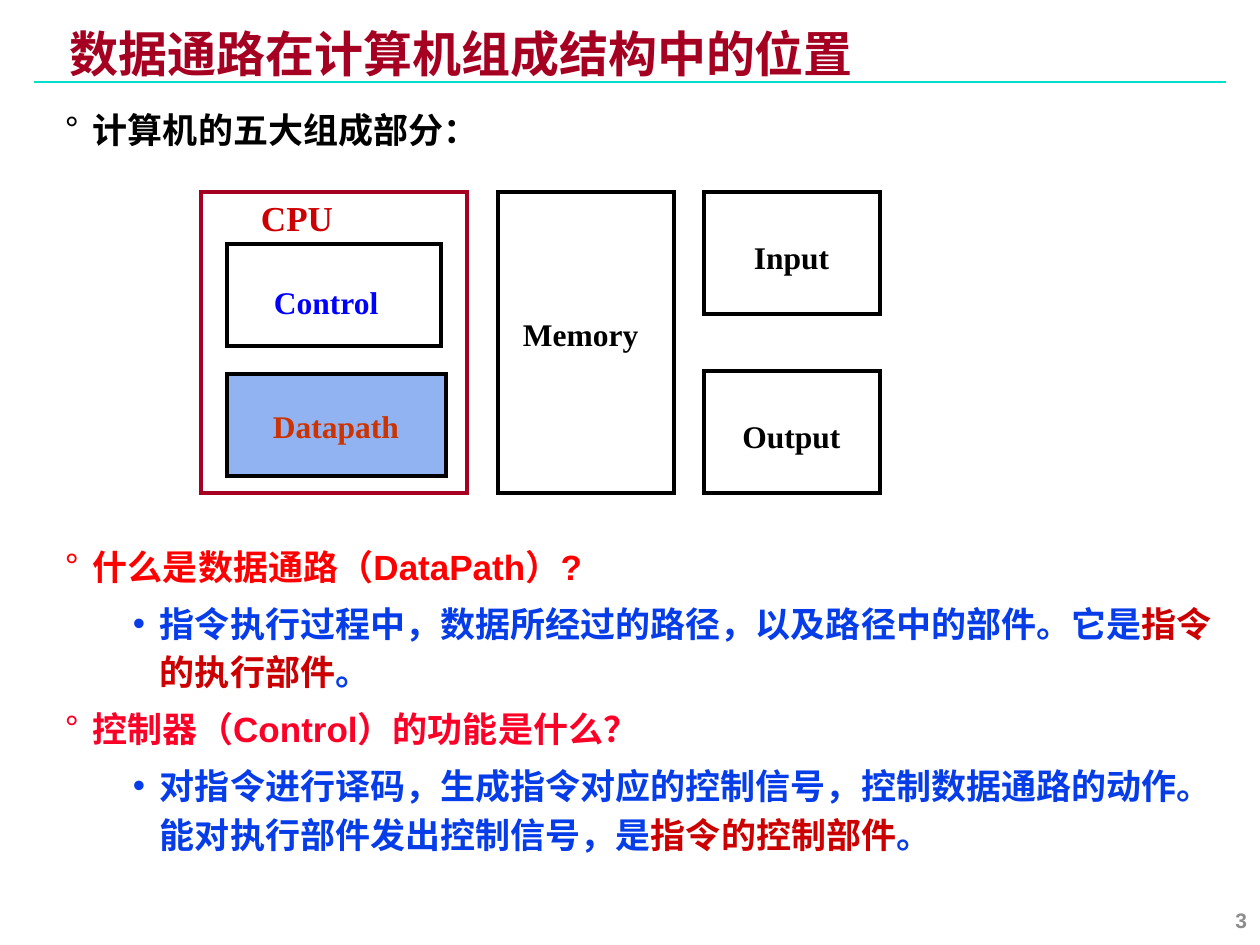
from dataclasses import dataclass
from lxml import etree
from pptx import Presentation
from pptx.dml.color import RGBColor
from pptx.enum.lang import MSO_LANGUAGE_ID
from pptx.enum.shapes import MSO_CONNECTOR, MSO_SHAPE
from pptx.enum.text import MSO_ANCHOR, PP_ALIGN
from pptx.oxml.ns import qn
from pptx.util import Pt

LEFT, CENTER, RIGHT = PP_ALIGN.LEFT, PP_ALIGN.CENTER, PP_ALIGN.RIGHT
CHINESE = MSO_LANGUAGE_ID.SIMPLIFIED_CHINESE
PX = 914400 / 126


@dataclass(frozen=True)
class Theme:
    sans: str = "Arial"
    serif: str = "Times New Roman"
    title_size: int = 28
    body_size: int = 20
    label_size: int = 18
    number_size: int = 12
    black: str = "000000"
    maroon: str = "A50021"
    teal: str = "00DFCA"
    red: str = "FF0000"
    crimson: str = "FC0128"
    dark_red: str = "CC0000"
    blue: str = "063DE8"
    bright_blue: str = "0000FF"
    rust: str = "CC3300"
    pale_blue: str = "91B3F1"
    grey: str = "8C8C8C"


THEME = Theme()

# Content: each paragraph is (level, [(text, colour), ...])
TITLE = "数据通路在计算机组成结构中的位置"
PARTS_HEADING = [(0, [("计算机的五大组成部分：", THEME.black)])]
QUESTIONS = [
    (0, [("什么是数据通路（DataPath）?", THEME.red)]),
    (1, [("指令执行过程中，数据所经过的路径，以及路径中的部件。它是", THEME.blue),
         ("指令的执行部件", THEME.dark_red), ("。", THEME.blue)]),
    (0, [("控制器（Control）的功能是什么？", THEME.crimson)]),
    (1, [("对指令进行译码，生成指令对应的控制信号，控制数据通路的动作。"
          "能对执行部件发出控制信号，是", THEME.blue),
         ("指令的控制部件", THEME.dark_red), ("。", THEME.blue)]),
]
PAGE_NUMBER = "3"

# Bullet levels: character, left margin px, hanging px
BULLETS = [("°", 28, 28), ("•", 95, 27)]

# Diagram: outline rectangle, line colour, fill, label, label box, colour, size, alignment
TOP, HEIGHT, SMALL = 192, 301, 122
UNITS = [
    ((201, TOP, 266, HEIGHT), THEME.maroon, None,
     "CPU", (261, 190, 97, 54), THEME.dark_red, THEME.body_size, LEFT),
    ((227, 244, 214, 102), THEME.black, None,
     "Control", (274, 277, 130, 50), THEME.bright_blue, THEME.label_size, LEFT),
    ((227, 374, 219, 102), THEME.black, THEME.pale_blue,
     "Datapath", (273, 401, 160, 50), THEME.rust, THEME.label_size, LEFT),
    ((498, TOP, 176, HEIGHT), THEME.black, None,
     "Memory", (523, 309, 140, 50), THEME.black, THEME.label_size, LEFT),
    ((704, TOP, 176, SMALL), THEME.black, None,
     "Input", (741, 232, 101, 50), THEME.black, THEME.label_size, CENTER),
    ((704, TOP + HEIGHT - SMALL, 176, SMALL), THEME.black, None,
     "Output", (730, 411, 123, 50), THEME.black, THEME.label_size, CENTER),
]


def px(value):
    return round(value * PX)


def area(rect):
    return [px(value) for value in rect]


def colour(code):
    return RGBColor.from_string(code)


def add_span(para, text, code, size, font):
    span = para.add_run()
    span.text = text
    span.font.name = font
    span.font.size = Pt(size)
    span.font.bold = True
    span.font.color.rgb = colour(code)
    if font == THEME.sans:
        span.font.language_id = CHINESE


def add_box(page, rect, inset):
    frame = page.shapes.add_textbox(*area(rect)).text_frame
    frame.word_wrap = True
    frame.margin_left = frame.margin_right = px(inset[0])
    frame.margin_top = frame.margin_bottom = px(inset[1])
    return frame


def add_line_of_text(page, rect, inset, text, code, size, font, align=LEFT):
    frame = add_box(page, rect, inset)
    para = frame.paragraphs[0]
    para.alignment = align
    add_span(para, text, code, size, font)
    return frame


def set_bullet(para, level):
    character, margin, hanging = BULLETS[level]
    properties = para._p.get_or_add_pPr()
    properties.set("marL", str(px(margin)))
    properties.set("indent", str(-px(hanging)))
    etree.SubElement(properties, qn("a:buFont")).set("typeface", THEME.sans)
    etree.SubElement(properties, qn("a:buChar")).set("char", character)


def add_bullets(page, rect, paragraphs, line_spacing):
    frame = add_box(page, rect, (9, 4))
    for index, (level, spans) in enumerate(paragraphs):
        para = frame.add_paragraph() if index else frame.paragraphs[0]
        para.level = level
        para.line_spacing = line_spacing
        para.space_before = Pt(5 if index else 0)
        set_bullet(para, level)
        for text, code in spans:
            add_span(para, text, code, THEME.body_size, THEME.sans)


def add_unit(page, rect, line, fill, label, label_rect, code, size, align):
    unit = page.shapes.add_shape(MSO_SHAPE.RECTANGLE, *area(rect))
    unit.shadow.inherit = False
    unit.line.color.rgb = colour(line)
    unit.line.width = Pt(2)
    outline = unit._element.spPr.find(qn("a:ln"))
    etree.SubElement(outline, qn("a:miter")).set("lim", "800000")
    if fill:
        unit.fill.solid()
        unit.fill.fore_color.rgb = colour(fill)
    else:
        unit.fill.background()
    add_line_of_text(page, label_rect, (0, 6), label, code, size, THEME.serif, align)


def main():
    deck = Presentation()
    deck.slide_width, deck.slide_height = px(1260), px(945)
    page = deck.slides.add_slide(deck.slide_layouts[6])

    # Title and rule
    rule = page.shapes.add_connector(MSO_CONNECTOR.STRAIGHT, px(34), px(82), px(1226), px(82))
    rule.line.color.rgb = colour(THEME.teal)
    rule.line.width = Pt(1.5)
    etree.SubElement(rule._element.spPr, qn("a:effectLst"))
    title = add_line_of_text(page, (61, 28, 1022, 58), (9, 4), TITLE,
                             THEME.maroon, THEME.title_size, THEME.sans)
    title.paragraphs[0].line_spacing = 0.87

    # Bulleted text
    add_bullets(page, (56, 104, 1169, 50), PARTS_HEADING, 1.0)
    add_bullets(page, (56, 535, 1169, 346), QUESTIONS, 1.15)

    # Five parts of the computer
    for unit in UNITS:
        add_unit(page, *unit)

    # Page number
    number = add_line_of_text(page, (976, 895, 284, 50), (13, 6), PAGE_NUMBER,
                              THEME.grey, THEME.number_size, THEME.sans, RIGHT)
    number.vertical_anchor = MSO_ANCHOR.MIDDLE

    deck.save("out.pptx")


if __name__ == "__main__":
    main()
